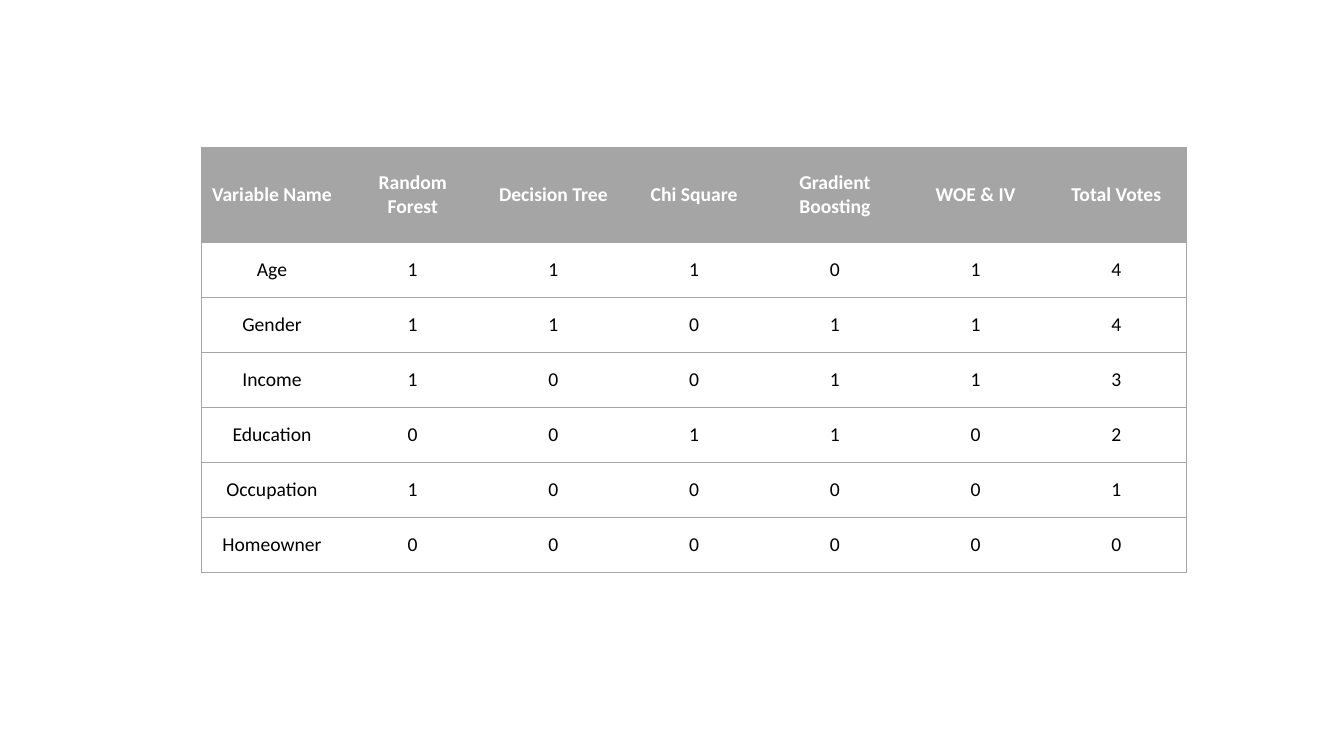
from dataclasses import dataclass

import pptx
import pptx.dml.color
import pptx.enum.text
import pptx.oxml
import pptx.oxml.ns
import pptx.table
import pptx.util
from pptx.dml.color import RGBColor
from pptx.util import Inches

GRAY = RGBColor(0xA5, 0xA5, 0xA5)
WHITE = RGBColor(0xFF, 0xFF, 0xFF)
BLACK = RGBColor(0x00, 0x00, 0x00)

BORDER_WIDTH = pptx.util.Pt(0.5)
HEADER_HEIGHT = Inches(0.94)
ROW_HEIGHT = Inches(0.546)

BASE_FONT = {"name": "Calibri", "size": pptx.util.Pt(14)}
HEADER_FONT = BASE_FONT | {"bold": True}
BODY_FONT = BASE_FONT | {"bold": False}

HEADERS = [
    "Variable Name",
    "Random Forest",
    "Decision Tree",
    "Chi Square",
    "Gradient Boosting",
    "WOE & IV",
    "Total Votes",
]


@dataclass(frozen=True)
class Variable:
    name: str
    votes: tuple[int, ...]

    def cell_texts(self) -> list[str]:
        """Name, the vote of each method, and the total."""
        return [self.name, *map(str, self.votes), str(sum(self.votes))]


VARIABLES = [
    Variable("Age", (1, 1, 1, 0, 1)),
    Variable("Gender", (1, 1, 0, 1, 1)),
    Variable("Income", (1, 0, 0, 1, 1)),
    Variable("Education", (0, 0, 1, 1, 0)),
    Variable("Occupation", (1, 0, 0, 0, 0)),
    Variable("Homeowner", (0, 0, 0, 0, 0)),
]


def set_borders(cell: pptx.table._Cell, visible_sides: str) -> None:
    """Draw the sides named by L, R, T and B; hide the others."""
    properties = cell._tc.get_or_add_tcPr()
    for side in "LRTB":
        if side in visible_sides:
            paint = f'<a:solidFill><a:srgbClr val="{GRAY}"/></a:solidFill>'
        else:
            paint = "<a:noFill/>"
        properties.append(pptx.oxml.parse_xml(
            f'<a:ln{side} {pptx.oxml.ns.nsdecls("a")} w="{BORDER_WIDTH}">'
            f"{paint}</a:ln{side}>"
        ))


def format_text(cell: pptx.table._Cell, text: str, font: dict, color: RGBColor) -> None:
    cell.text = text
    cell.vertical_anchor = pptx.enum.text.MSO_ANCHOR.MIDDLE
    paragraph = cell.text_frame.paragraphs[0]
    paragraph.alignment = pptx.enum.text.PP_ALIGN.CENTER
    run = paragraph.runs[0]
    for attribute, value in font.items():
        setattr(run.font, attribute, value)
    run.font.color.rgb = color


def fill_row(table: pptx.table.Table, row: int, texts: list[str]) -> None:
    is_header = row == 0
    table.rows[row].height = HEADER_HEIGHT if is_header else ROW_HEIGHT
    last_column = len(texts) - 1
    for column, text in enumerate(texts):
        cell = table.cell(row, column)
        if is_header:
            format_text(cell, text, HEADER_FONT, WHITE)
        else:
            format_text(cell, text, BODY_FONT, BLACK)
        outer_side = {0: "L", last_column: "R"}.get(column, "")
        set_borders(cell, "TB" + outer_side)
        if is_header:
            cell.fill.solid()
            cell.fill.fore_color.rgb = GRAY
        else:
            cell.fill.background()


def main() -> None:
    presentation = pptx.Presentation()
    presentation.slide_width = Inches(13.33)
    presentation.slide_height = Inches(7.5)
    blank_layout = presentation.slide_layouts.get_by_name("Blank")
    slide = presentation.slides.add_slide(blank_layout)

    rows = [HEADERS] + [variable.cell_texts() for variable in VARIABLES]
    table = slide.shapes.add_table(
        len(rows), len(HEADERS),
        Inches(2), Inches(1.46), Inches(9.77), Inches(4.22),
    ).table
    table.horz_banding = False
    for row, texts in enumerate(rows):
        fill_row(table, row, texts)

    presentation.save("out.pptx")


if __name__ == "__main__":
    main()
